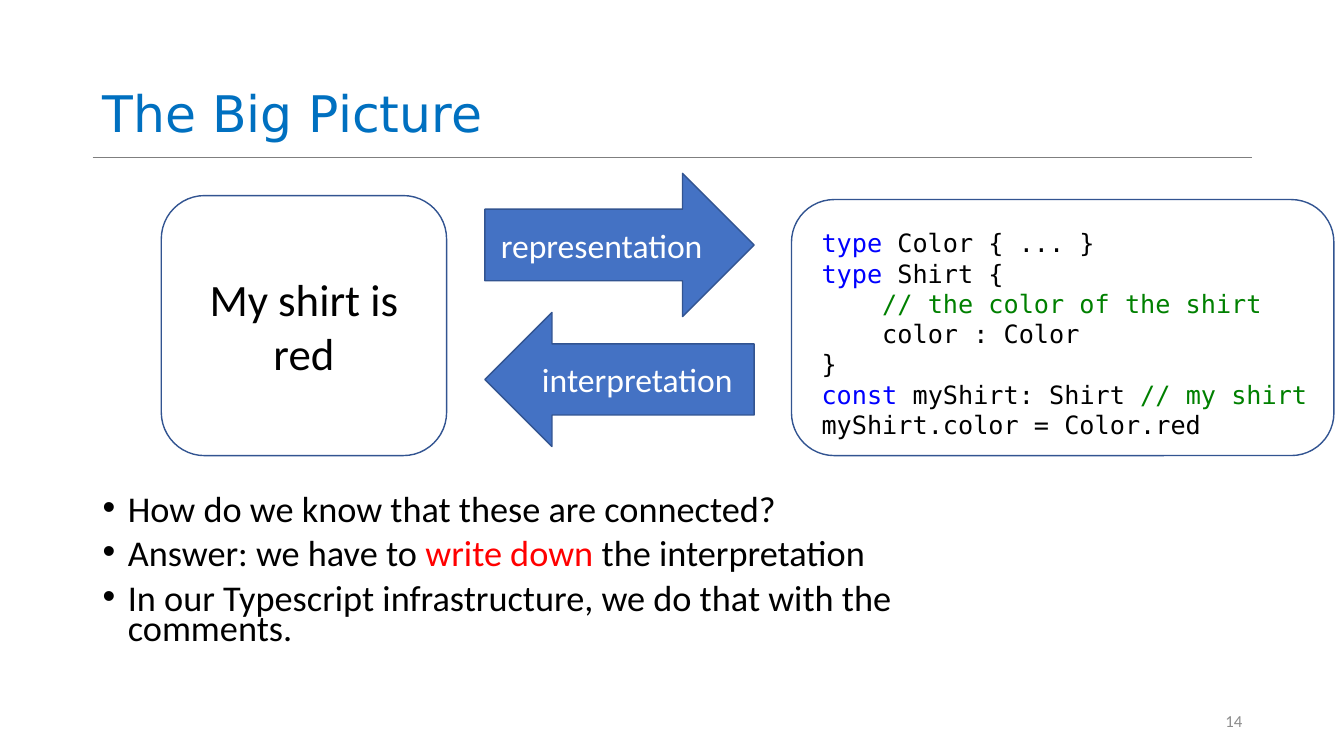
from lxml import etree
from pptx import Presentation
from pptx.dml.color import RGBColor
from pptx.enum.shapes import MSO_CONNECTOR, MSO_SHAPE
from pptx.enum.text import MSO_ANCHOR, PP_ALIGN
from pptx.oxml.ns import qn
from pptx.util import Inches, Pt

STRAIGHT = MSO_CONNECTOR.STRAIGHT
ROUNDED = MSO_SHAPE.ROUNDED_RECTANGLE
RIGHT_ARROW, LEFT_ARROW = MSO_SHAPE.RIGHT_ARROW, MSO_SHAPE.LEFT_ARROW
TOP, MIDDLE, BOTTOM = MSO_ANCHOR.TOP, MSO_ANCHOR.MIDDLE, MSO_ANCHOR.BOTTOM
LEFT, CENTER, RIGHT = PP_ALIGN.LEFT, PP_ALIGN.CENTER, PP_ALIGN.RIGHT

BODY, HEADING, CODE = "Calibri", "DejaVu Sans", "DejaVu Sans Mono"
BLACK, WHITE, RED, GRAY = "000000", "FFFFFF", "FF0000", "8C8C8C"
TITLE_BLUE, ARROW_BLUE, OUTLINE, RULE = "0070C0", "4472C4", "325491", "7F7F7F"
KEYWORD, COMMENT = "0000FF", "008000"

# Each line is a list of (text, color) runs.
BULLETS = [
    [("How do we know that these are connected?", BLACK)],
    [("Answer: we have to ", BLACK), ("write down ", RED), ("the interpretation", BLACK)],
    [("In our Typescript infrastructure, we do that with the comments.", BLACK)],
]
CODE_LINES = [
    [("type", KEYWORD), (" Color { ... }", BLACK)],
    [("type", KEYWORD), (" Shirt {", BLACK)],
    [("    // the color of the shirt", COMMENT)],
    [("    color : Color", BLACK)],
    [("}", BLACK)],
    [("const ", KEYWORD), ("myShirt: Shirt ", BLACK), ("// my shirt", COMMENT)],
    [("myShirt.color = Color.red", BLACK)],
]


def rgb(color):
    return RGBColor.from_string(color)


class SlideBuilder:
    def __init__(self, slide):
        self.slide = slide

    def fill_frame(self, frame, lines, size, font=BODY, anchor=TOP, align=LEFT,
                   spacing=None, gap=0, bullet=None):
        """Put lines of colored runs into a text frame."""
        frame.word_wrap = True
        frame.vertical_anchor = anchor
        for index, runs in enumerate(lines):
            paragraph = frame.add_paragraph() if index else frame.paragraphs[0]
            paragraph.alignment = align
            if spacing:
                paragraph.line_spacing = spacing
            if index and gap:
                paragraph.space_before = Pt(gap)
            if bullet:
                self.add_bullet(paragraph, bullet)
            paragraph.font.size = Pt(size)
            paragraph.font.name = font
            if len(runs) == 1:
                paragraph.font.color.rgb = rgb(runs[0][1])
            for text, color in runs:
                run = paragraph.add_run()
                run.text = text
                if len(runs) > 1:
                    run.font.color.rgb = rgb(color)

    def add_bullet(self, paragraph, character):
        properties = paragraph._p.get_or_add_pPr()
        properties.set("marL", str(Inches(0.25)))
        properties.set("indent", str(Inches(-0.25)))
        etree.SubElement(properties, qn("a:buFont")).set("typeface", "Arial")
        etree.SubElement(properties, qn("a:buChar")).set("char", character)

    def text(self, left, top, width, height, lines, size, **style):
        box = self.slide.shapes.add_textbox(
            Inches(left), Inches(top), Inches(width), Inches(height))
        self.fill_frame(box.text_frame, lines, size, **style)

    def shape(self, kind, left, top, width, height, fill=None, label=None,
              size=24, color=WHITE, adjustment=None):
        shape = self.slide.shapes.add_shape(
            kind, Inches(left), Inches(top), Inches(width), Inches(height))
        shape.shadow.inherit = False
        if adjustment:
            shape.adjustments[0] = adjustment
        if fill:
            shape.fill.solid()
            shape.fill.fore_color.rgb = rgb(fill)
        else:
            shape.fill.background()
        shape.line.color.rgb = rgb(OUTLINE)
        shape.line.width = Pt(1)
        if label:
            self.fill_frame(shape.text_frame, [[(label, color)]], size,
                            anchor=MIDDLE, align=CENTER)

    def rule(self, left, right, top, color, width):
        line = self.slide.shapes.add_connector(
            STRAIGHT, Inches(left), Inches(top), Inches(right), Inches(top))
        line.line.color.rgb = rgb(color)
        line.line.width = Pt(width)
        etree.SubElement(line._element.spPr, qn("a:effectLst"))


def main():
    presentation = Presentation()
    presentation.slide_width, presentation.slide_height = Inches(13.33), Inches(7.5)
    builder = SlideBuilder(presentation.slides.add_slide(presentation.slide_layouts[6]))

    builder.rule(0.92, 12.42, 1.56, RULE, 0.5)
    builder.text(0.92, 0.02, 11.5, 1.45, [[("The Big Picture", TITLE_BLUE)]], 36,
                 font=HEADING, anchor=BOTTOM, spacing=0.9)

    builder.shape(ROUNDED, 1.6, 1.94, 2.83, 2.58,
                  label="My shirt is red", size=32, color=BLACK)
    builder.shape(RIGHT_ARROW, 4.81, 1.72, 2.67, 1.42, ARROW_BLUE, "representation")
    builder.shape(LEFT_ARROW, 4.81, 3.1, 2.67, 1.33, ARROW_BLUE, "interpretation",
                  adjustment=0.53)
    builder.shape(ROUNDED, 7.85, 1.98, 5.38, 2.54)
    builder.text(8.05, 2.21, 5.2, 2.22, CODE_LINES, 18, font=CODE)

    builder.text(0.92, 4.89, 8.63, 1.51, BULLETS, 25.9,
                 spacing=0.7, gap=10, bullet="•")
    builder.text(9.42, 6.95, 3, 0.4, [[("14", GRAY)]], 12, anchor=MIDDLE, align=RIGHT)

    presentation.save("out.pptx")


if __name__ == "__main__":
    main()
